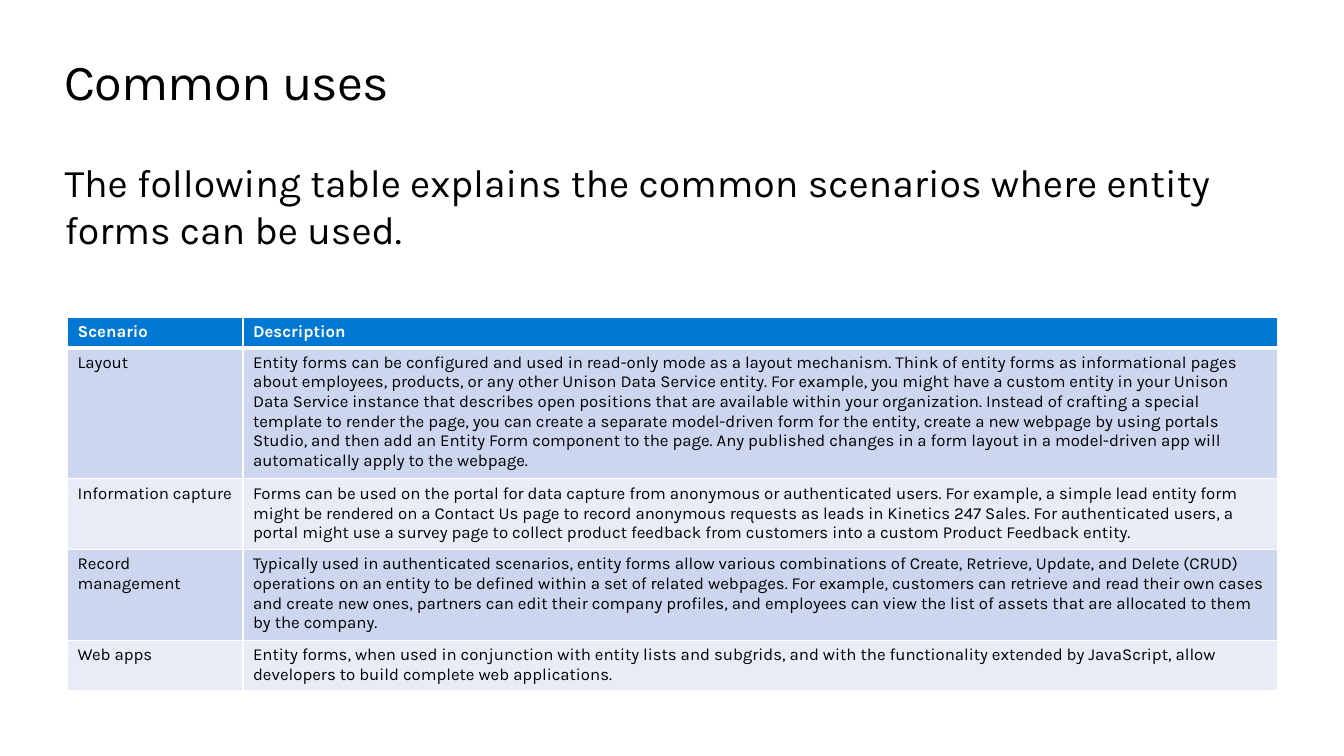
import pptx
import pptx.util
import pptx.dml.color
import pptx.enum.text
import pptx.oxml
import lxml.etree
from dataclasses import dataclass

TITLE = "Common uses"
INTRODUCTION = "The following table explains the common scenarios where entity forms can be used."
TABLE_ROWS = [
    ("Scenario", "Description", 1),
    ("Layout", "Entity forms can be configured and used in read-only mode as a layout mechanism. Think of entity forms as informational pages about employees, products, or any other Unison Data Service entity. For example, you might have a custom entity in your Unison Data Service instance that describes open positions that are available within your organization. Instead of crafting a special template to render the page, you can create a separate model-driven form for the entity, create a new webpage by using portals Studio, and then add an Entity Form component to the page. Any published changes in a form layout in a model-driven app will automatically apply to the webpage.", 6),
    ("Information capture", "Forms can be used on the portal for data capture from anonymous or authenticated users. For example, a simple lead entity form might be rendered on a Contact Us page to record anonymous requests as leads in Kinetics 247 Sales. For authenticated users, a portal might use a survey page to collect product feedback from customers into a custom Product Feedback entity.", 3),
    ("Record management", "Typically used in authenticated scenarios, entity forms allow various combinations of Create, Retrieve, Update, and Delete (CRUD) operations on an entity to be defined within a set of related webpages. For example, customers can retrieve and read their own cases and create new ones, partners can edit their company profiles, and employees can view the list of assets that are allocated to them by the company.", 4),
    ("Web apps", "Entity forms, when used in conjunction with entity lists and subgrids, and with the functionality extended by JavaScript, allow developers to build complete web applications.", 2),
]
COLUMN_WIDTHS = (1.74, 10.26)
LINE_HEIGHT = 0.195
CELL_PADDING = 0.05


@dataclass(frozen=True)
class Theme:
    font: str = "Karla"
    title_size: int = 36
    introduction_size: int = 28
    table_size: int = 12
    text: str = "000000"
    white: str = "FFFFFF"
    header: str = "0078D4"
    bands: tuple = ("CCD6EF", "E7ECF7")
    border: int = 1
    header_border: int = 3


THEME = Theme()
Inches = pptx.util.Inches


def color(value):
    return pptx.dml.color.RGBColor.from_string(value)


def add_text(frame, text, size, text_color, bold=False):
    run = frame.paragraphs[0].add_run()
    run.text = text
    run.font.name = THEME.font
    run.font.size = pptx.util.Pt(size)
    run.font.bold = bold
    run.font.color.rgb = color(text_color)
    return run


def add_heading(slide, top, height, text, size):
    box = slide.shapes.add_textbox(Inches(0.64), Inches(top), Inches(12.05), Inches(height))
    frame = box.text_frame
    frame.word_wrap = True
    frame.auto_size = pptx.enum.text.MSO_AUTO_SIZE.SHAPE_TO_FIT_TEXT
    frame.margin_left = frame.margin_right = frame.margin_top = frame.margin_bottom = 0
    return add_text(frame, text, size, THEME.text)


def set_borders(cell, top, bottom):
    properties = cell._tc.get_or_add_tcPr()
    widths = {"lnL": THEME.border, "lnR": THEME.border, "lnT": top, "lnB": bottom}
    for side, width in widths.items():
        line = lxml.etree.SubElement(properties, pptx.oxml.ns.qn("a:" + side), w=str(pptx.util.Pt(width)))
        fill = lxml.etree.SubElement(line, pptx.oxml.ns.qn("a:solidFill"))
        lxml.etree.SubElement(fill, pptx.oxml.ns.qn("a:srgbClr"), val=THEME.white)


def add_scenario_table(slide):
    heights = [lines * LINE_HEIGHT + 2 * CELL_PADDING for *_, lines in TABLE_ROWS]
    frame = slide.shapes.add_table(
        len(TABLE_ROWS), len(COLUMN_WIDTHS), Inches(0.67), Inches(3.15),
        Inches(sum(COLUMN_WIDTHS)), Inches(sum(heights)),
    )
    table = frame.table
    for column, width in zip(table.columns, COLUMN_WIDTHS):
        column.width = Inches(width)
    for row_index, (*texts, _) in enumerate(TABLE_ROWS):
        table.rows[row_index].height = Inches(heights[row_index])
        is_header = row_index == 0
        fill_color = THEME.header if is_header else THEME.bands[(row_index - 1) % 2]
        text_color = THEME.white if is_header else THEME.text
        top = THEME.header_border if row_index == 1 else THEME.border
        bottom = THEME.header_border if is_header else THEME.border
        for column_index, text in enumerate(texts):
            cell = table.cell(row_index, column_index)
            cell.margin_top = cell.margin_bottom = Inches(CELL_PADDING)
            set_borders(cell, top, bottom)
            cell.fill.solid()
            cell.fill.fore_color.rgb = color(fill_color)
            add_text(cell.text_frame, text, THEME.table_size, text_color, is_header)


def main():
    presentation = pptx.Presentation()
    presentation.slide_width = Inches(13.33)
    presentation.slide_height = Inches(7.5)
    slide = presentation.slides.add_slide(presentation.slide_layouts[6])
    title = add_heading(slide, 0.5, 0.6, TITLE, THEME.title_size)
    title.font._element.set("spc", "-50")
    add_heading(slide, 1.57, 0.93, INTRODUCTION, THEME.introduction_size)
    add_scenario_table(slide)
    presentation.save("out.pptx")


if __name__ == "__main__":
    main()
